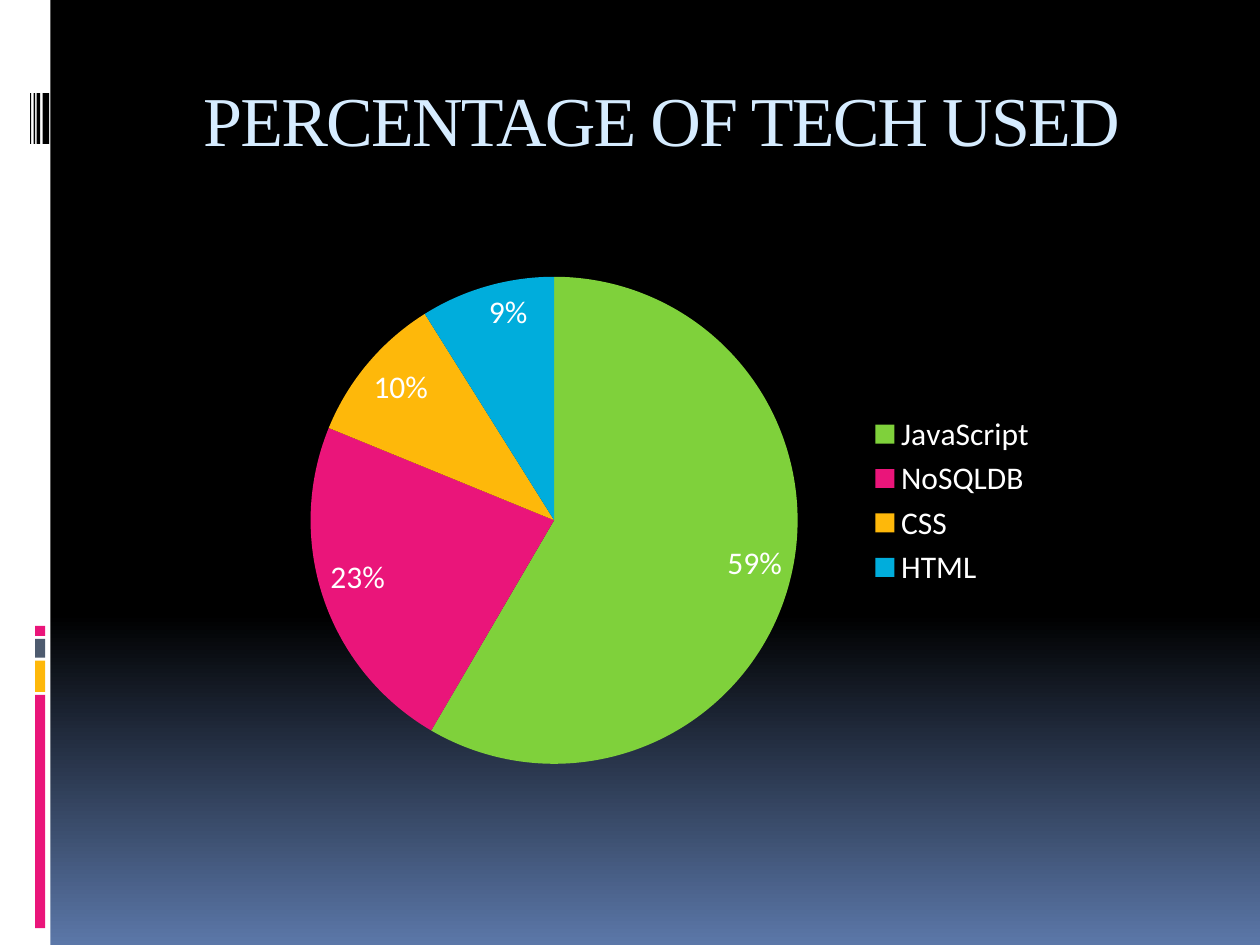
from lxml import etree
from pptx import Presentation
from pptx import util as u
from pptx.chart.data import CategoryChartData
from pptx.dml.color import RGBColor
from pptx.enum import chart as ch, shapes, text
from pptx.oxml import ns

TITLE = "PERCENTAGE OF TECH USED"
SHARES = [("JavaScript", 59, "green"), ("NoSQLDB", 23, "pink"),
          ("CSS", 10, "amber"), ("HTML", 9, "blue")]
COLORS = {"white": "FFFFFF", "black": "000000", "navy": "5B77A8",
          "pink": "EA157A", "amber": "FEB80A", "slate": "4E5B6F",
          "green": "7FD13B", "blue": "00ADDC", "pale": "D6ECFF"}
BLOCKS = [("pink", 0.2), ("slate", 0.38), ("amber", 0.63), ("pink", 4.7)]
BLOCK_TOP, BLOCK_GAP = 12.62, 0.06
BARS = [(0.61, 0.02), (0.68, 0.03), (0.74, 0.07), (0.86, 0.13)]
CHART = (4.23, 4.45, 16.93, 11.29)
PIE = {"x": 0.12, "y": 0.1, "w": 0.58, "h": 0.87}  # fractions of the chart


def rgb(name):
    """Look up a named colour."""
    return RGBColor.from_string(COLORS[name])


def rect(slide, left, top, width, height, color):
    """Add a plain filled rectangle, measured in centimetres."""
    box = slide.shapes.add_shape(
        shapes.MSO_SHAPE.RECTANGLE, *map(u.Cm, (left, top, width, height)))
    box.shadow.inherit = False
    box.fill.solid()
    box.fill.fore_color.rgb = rgb(color)
    box.line.fill.background()


def paint(slide):
    """Fade the background from black to navy at the foot."""
    fill = slide.background.fill
    fill.gradient()
    fill.gradient_angle = 270
    for stop, (pos, color) in zip(fill.gradient_stops,
                                  [(0.65, "black"), (1, "navy")]):
        stop.position = pos
        stop.color.rgb = rgb(color)


def strip(slide):
    """Draw the white side strip with its blocks and bars."""
    rect(slide, 0, 0, 1.02, 19.05, "white")
    top = BLOCK_TOP
    for color, height in BLOCKS:
        rect(slide, 0.71, top, 0.2, height, color)
        top += height + BLOCK_GAP
    for left, width in BARS:
        rect(slide, left, 1.88, width, 1.02, "black")


def head(slide):
    """Place and format the title."""
    title = slide.shapes.title
    title.left, title.top, title.width, title.height = map(
        u.Cm, (2.54, 1.42, 21.59, 2.54))
    frame = title.text_frame
    frame.text = TITLE
    frame.vertical_anchor = text.MSO_ANCHOR.TOP
    para = frame.paragraphs[0]
    para.alignment = text.PP_ALIGN.CENTER
    font = para.runs[0].font
    font.name, font.size = "Times New Roman", u.Pt(40)
    font.color.rgb = rgb("pale")
    para.runs[0]._r.get_or_add_rPr().set("spc", "-100")


def place(chart):
    """Fix the pie's place inside the chart."""
    area = chart._chartSpace.chart.plotArea
    for old in area.findall(ns.qn("c:layout")):
        area.remove(old)
    layout = etree.Element(ns.qn("c:layout"))
    area.insert(0, layout)
    manual = etree.SubElement(layout, ns.qn("c:manualLayout"))
    marks = {"layoutTarget": "inner", "xMode": "edge", "yMode": "edge"}
    for tag, val in {**marks, **PIE}.items():
        etree.SubElement(manual, ns.qn("c:" + tag)).set("val", str(val))


def pie(slide):
    """Add the pie chart of shares."""
    data = CategoryChartData()
    data.categories = [name for name, _, _ in SHARES]
    data.add_series("Series 1", [share for _, share, _ in SHARES])
    chart = slide.shapes.add_chart(
        ch.XL_CHART_TYPE.PIE, *map(u.Cm, CHART), data).chart
    chart.has_title = False
    chart.font.name, chart.font.size = "Calibri", u.Pt(18)
    chart.font.color.rgb = rgb("white")
    chart.has_legend = True
    chart.legend.position = ch.XL_LEGEND_POSITION.RIGHT
    chart.legend.include_in_layout = False
    plot = chart.plots[0]
    plot.vary_by_categories = True
    plot.has_data_labels = True
    labels = plot.data_labels
    labels.show_value = True
    labels.number_format = '0"%"'
    labels.number_format_is_linked = False
    labels.position = ch.XL_LABEL_POSITION.INSIDE_END
    for i, (_, _, color) in enumerate(SHARES):
        fill = plot.series[0].points[i].format.fill
        fill.solid()
        fill.fore_color.rgb = rgb(color)
    place(chart)


deck = Presentation()
deck.slide_width, deck.slide_height = u.Cm(25.4), u.Cm(19.05)
slide = deck.slides.add_slide(deck.slide_layouts[5])
paint(slide)
strip(slide)
head(slide)
pie(slide)
deck.save("out.pptx")
